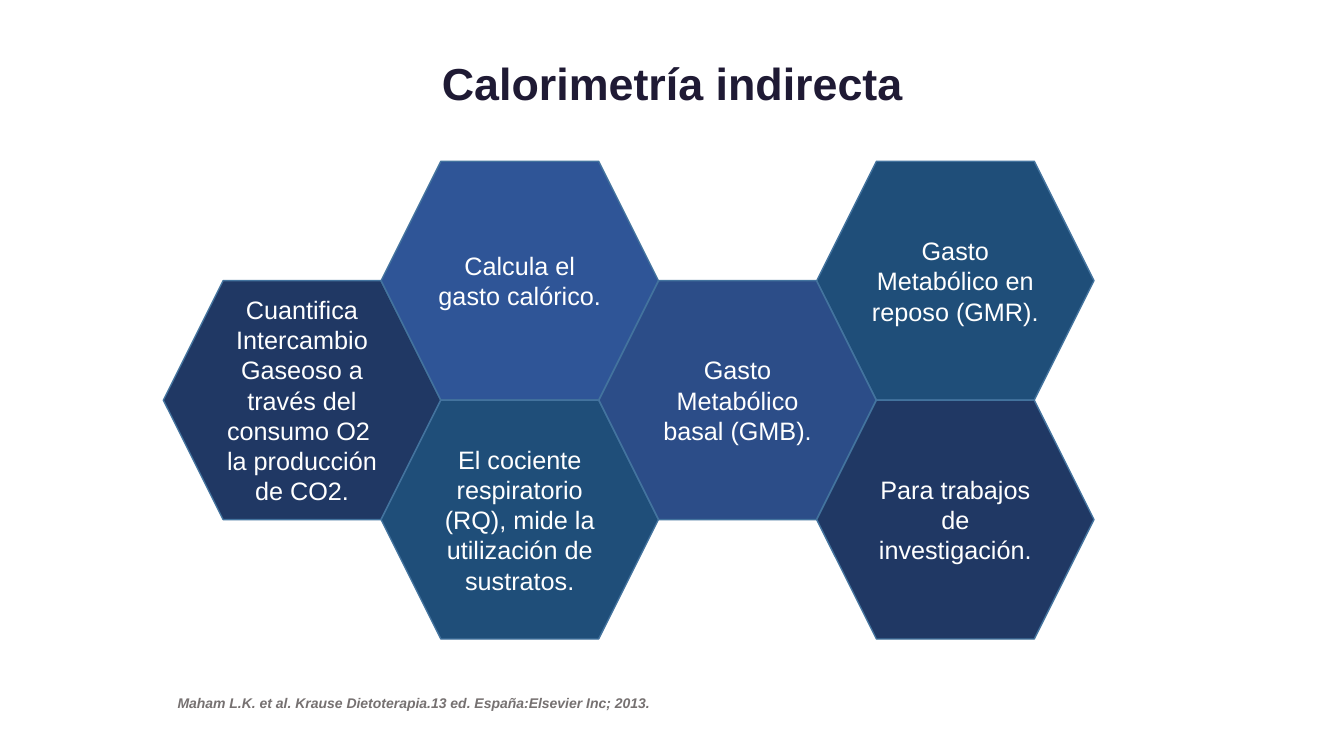
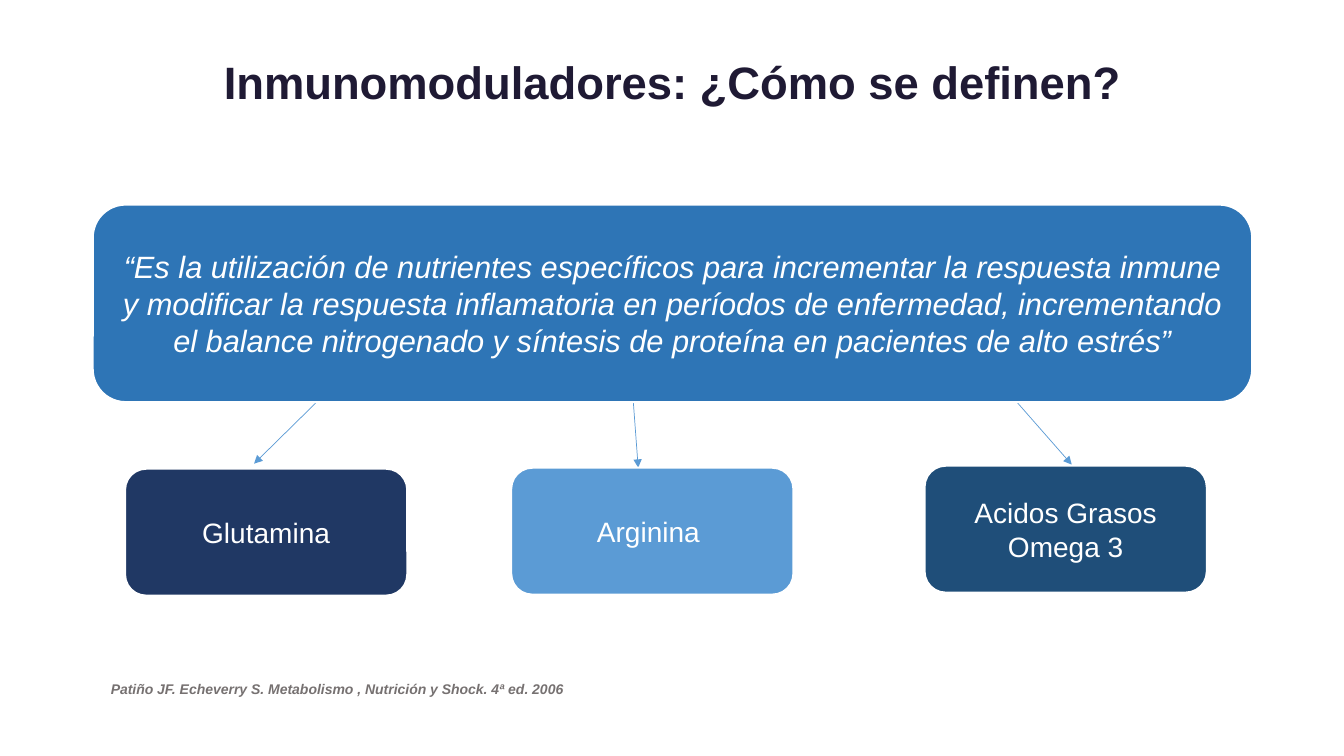
from dataclasses import dataclass

from lxml.etree import SubElement
from pptx import Presentation
from pptx.dml.color import RGBColor
from pptx.enum.shapes import MSO_CONNECTOR as Connector
from pptx.enum.shapes import MSO_SHAPE as Preset
from pptx.enum.text import MSO_ANCHOR as Anchor
from pptx.enum.text import MSO_AUTO_SIZE as AutoSize
from pptx.enum.text import PP_ALIGN as Align
from pptx.oxml.ns import qn
from pptx.util import Inches, Pt

FONT = "Arial"
COLORS = {
    "title": "1F1A34",
    "citation": "767171",
    "white": "FFFFFF",
    "navy": "203864",
    "royal": "2F5597",
    "indigo": "2C4D88",
    "teal": "1F4E79",
    "blue": "2E75B6",
    "sky": "5B9BD5",
    "outline": "43739E",
}

HEX_LEFT, HEX_TOP = 1.62, 1.6
HEX_WIDTH, HEX_HEIGHT = 2.75, 2.37
COLUMN_STEP, ROW_STEP = 2.16, HEX_HEIGHT / 2
NUTRIENT_WIDTH, NUTRIENT_HEIGHT = 2.8, 1.26


@dataclass
class Frame:
    left: float
    top: float
    width: float
    height: float

    def lengths(self) -> list:
        return [Inches(n) for n in (self.left, self.top, self.width, self.height)]


@dataclass
class TextStyle:
    size: float
    color: str = "white"
    bold: bool = False
    italic: bool = False
    align: Align = Align.CENTER


@dataclass
class Cell:
    """A hexagon placed by column and half-height row of the honeycomb."""
    column: int
    row: int
    fill: str
    text: str


@dataclass
class Nutrient:
    left: float
    top: float
    fill: str
    text: str


@dataclass
class Arrow:
    start: tuple[float, float]
    end: tuple[float, float]


CELLS = [
    Cell(0, 1, "navy", "Cuantifica Intercambio Gaseoso a través del consumo O2  la producción de CO2."),
    Cell(1, 0, "royal", "Calcula el gasto calórico."),
    Cell(3, 0, "teal", "Gasto Metabólico en reposo (GMR)."),
    Cell(1, 2, "teal", "El cociente respiratorio (RQ), mide la utilización de sustratos."),
    Cell(2, 1, "indigo", "Gasto Metabólico basal (GMB)."),
    Cell(3, 2, "navy", "Para trabajos de investigación."),
]
NUTRIENTS = [
    Nutrient(1.24, 4.65, "navy", "Glutamina"),
    Nutrient(5.07, 4.64, "sky", "Arginina "),
    Nutrient(9.17, 4.62, "teal", "Acidos Grasos Omega 3"),
]
ARROWS = [
    Arrow((3.14, 3.99), (2.52, 4.6)),
    Arrow((6.28, 3.97), (6.33, 4.64)),
    Arrow((10.06, 3.96), (10.63, 4.61)),
]
DEFINITION = (
    "“Es la utilización de nutrientes específicos para incrementar la respuesta inmune "
    "y modificar la respuesta inflamatoria en períodos de enfermedad, incrementando "
    "el balance nitrogenado y síntesis de proteína en pacientes de alto estrés”"
)


def rgb(name: str) -> RGBColor:
    return RGBColor.from_string(COLORS[name])


def write(box, text: str, style: TextStyle) -> None:
    box.text_frame.text = text
    para = box.text_frame.paragraphs[0]
    para.alignment = style.align
    for span in para.runs:
        span.font.name = FONT
        span.font.size = Pt(style.size)
        span.font.bold = style.bold
        span.font.italic = style.italic
        span.font.color.rgb = rgb(style.color)


def add_page(deck, title: str, top: float, size: float):
    page = deck.slides.add_slide(deck.slide_layouts[5])
    box = page.shapes.title
    box.left, box.top, box.width, box.height = Frame(0.92, top, 11.5, 0.88).lengths()
    write(box, title, TextStyle(size, "title", bold=True))
    box.text_frame.auto_size = AutoSize.NONE
    box.text_frame.vertical_anchor = Anchor.MIDDLE
    box.text_frame.paragraphs[0].line_spacing = 0.9
    return page


def add_citation(page, frame: Frame, text: str, align: Align) -> None:
    box = page.shapes.add_textbox(*frame.lengths())
    box.text_frame.word_wrap = False
    box.text_frame.auto_size = AutoSize.SHAPE_TO_FIT_TEXT
    write(box, text, TextStyle(10, "citation", bold=True, italic=True, align=align))


def add_block(page, preset: Preset, frame: Frame, fill: str, text: str,
              style: TextStyle, line: str = "white", line_width: float = 1.5) -> None:
    box = page.shapes.add_shape(preset, *frame.lengths())
    box.shadow.inherit = False
    box.fill.solid()
    box.fill.fore_color.rgb = rgb(fill)
    box.line.color.rgb = rgb(line)
    box.line.width = Pt(line_width)
    box.text_frame.word_wrap = True
    box.text_frame.vertical_anchor = Anchor.MIDDLE
    write(box, text, style)


def add_arrow(page, arrow: Arrow) -> None:
    points = [Inches(n) for n in (*arrow.start, *arrow.end)]
    connector = page.shapes.add_connector(Connector.STRAIGHT, *points)
    connector.line.color.rgb = rgb("sky")
    connector.line.width = Pt(0.5)
    SubElement(connector.line._get_or_add_ln(), qn("a:tailEnd"), type="triangle")
    SubElement(connector._element.spPr, qn("a:effectLst"))


def build_calorimetry(deck) -> None:
    page = add_page(deck, "Calorimetría indirecta", 0.41, 32)
    for cell in CELLS:
        frame = Frame(HEX_LEFT + cell.column * COLUMN_STEP,
                      HEX_TOP + cell.row * ROW_STEP, HEX_WIDTH, HEX_HEIGHT)
        add_block(page, Preset.HEXAGON, frame, cell.fill, cell.text,
                  TextStyle(18), "outline", 1)
    add_citation(page, Frame(1.62, 6.84, 4.96, 0.27),
                 "Maham L.K. et al. Krause Dietoterapia.13 ed. España:Elsevier Inc; 2013. ",
                 Align.RIGHT)


def build_immunomodulators(deck) -> None:
    page = add_page(deck, "Inmunomoduladores: ¿Cómo se definen?", 0.4, 32.4)
    for arrow in ARROWS:
        add_arrow(page, arrow)
    for nutrient in NUTRIENTS:
        frame = Frame(nutrient.left, nutrient.top, NUTRIENT_WIDTH, NUTRIENT_HEIGHT)
        add_block(page, Preset.ROUNDED_RECTANGLE, frame, nutrient.fill,
                  nutrient.text, TextStyle(20))
    add_block(page, Preset.ROUNDED_RECTANGLE, Frame(0.92, 2.03, 11.5, 1.96),
              "blue", DEFINITION, TextStyle(22, italic=True))
    add_citation(page, Frame(1, 6.7, 4.78, 0.27),
                 "Patiño JF. Echeverry S. Metabolismo , Nutrición y Shock. 4ª ed. 2006",
                 Align.LEFT)


def main() -> None:
    deck = Presentation()
    deck.slide_width, deck.slide_height = Inches(13.33), Inches(7.5)
    build_calorimetry(deck)
    build_immunomodulators(deck)
    deck.save("out.pptx")


if __name__ == "__main__":
    main()
